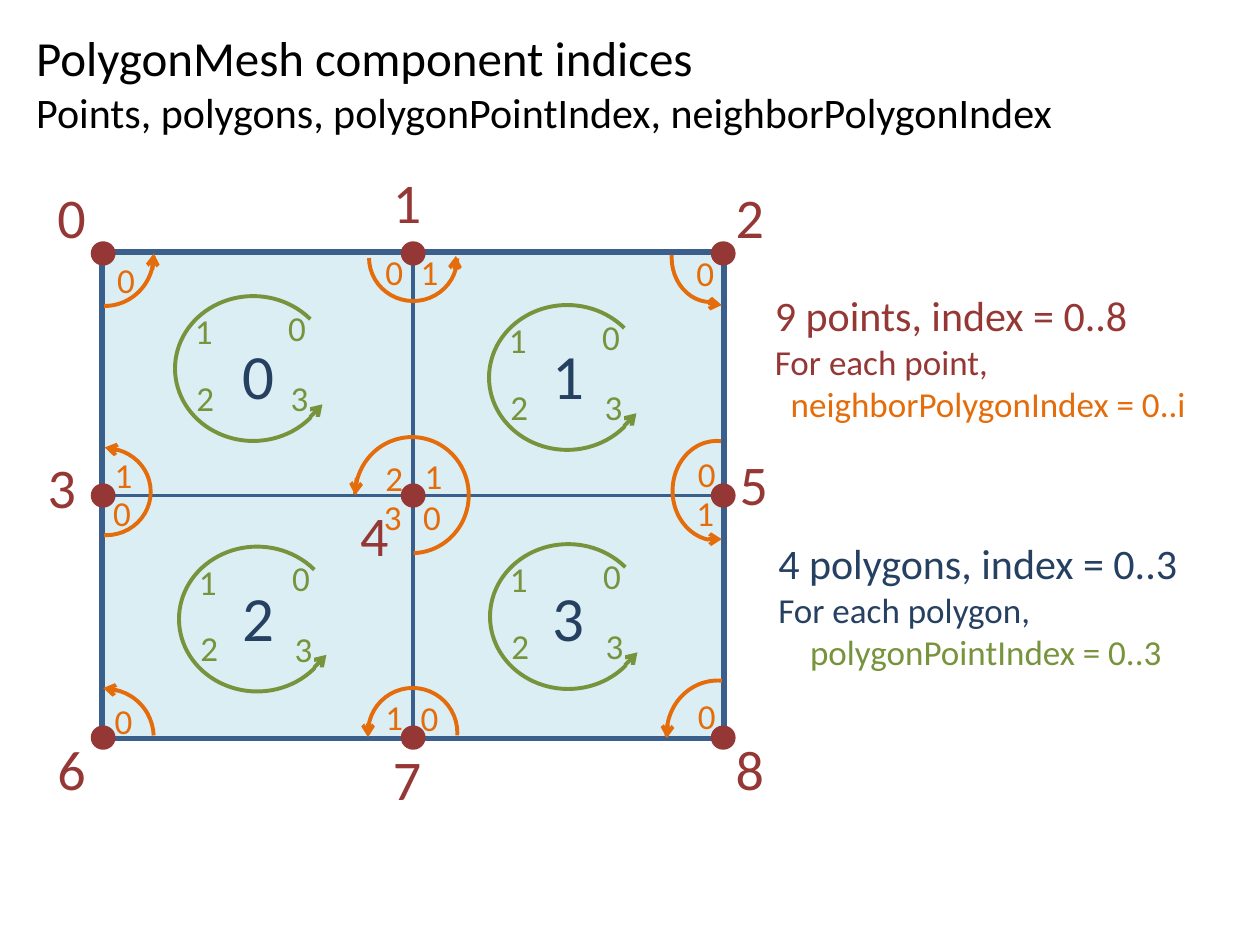
from dataclasses import dataclass
from typing import NamedTuple

from lxml import etree
from pptx import Presentation
from pptx.dml.color import RGBColor
from pptx.enum.shapes import MSO_CONNECTOR, MSO_SHAPE
from pptx.enum.text import MSO_ANCHOR, PP_ALIGN
from pptx.oxml.ns import qn
from pptx.util import Cm, Pt

RECTANGLE, OVAL, ARC = MSO_SHAPE.RECTANGLE, MSO_SHAPE.OVAL, MSO_SHAPE.ARC
STRAIGHT = MSO_CONNECTOR.STRAIGHT
MIDDLE, CENTER = MSO_ANCHOR.MIDDLE, PP_ALIGN.CENTER


@dataclass(frozen=True)
class Theme:
    font: str = "Calibri"
    black: str = "000000"
    point: str = "953735"
    polygon: str = "254061"
    corner: str = "77933C"
    neighbor: str = "E46C0A"
    cell_fill: str = "DBEEF4"
    edge: str = "3A5F8C"
    polygon_size: float = 36
    point_size: float = 32
    title_size: float = 28
    heading_size: float = 24
    small_size: float = 20
    border_width: float = 4.5
    cell_width: float = 2
    arc_width: float = 2.25


class Box(NamedTuple):
    left: float
    top: float
    width: float
    height: float


class Label(NamedTuple):
    text: str
    left: float
    top: float


class Line(NamedTuple):
    text: str
    size: float
    color: str
    indent: float = 0


class Turn(NamedTuple):
    box: Box
    start: float
    end: float
    tail: tuple[float, float]
    tip: tuple[float, float]
    rotation: float = 0


THEME = Theme()
MESH_LEFT, MESH_TOP, CELL_WIDTH, CELL_HEIGHT = 2.08, 5.11, 6.25, 4.88
DOT_WIDTH, DOT_HEIGHT = 0.5, 0.49

POINT_LABELS = [
    Label("0", 0.91, 3.56), Label("1", 7.67, 3.25), Label("2", 14.58, 3.56),
    Label("3", 0.71, 8.99), Label("4", 7.01, 9.96), Label("5", 14.66, 8.94),
    Label("6", 0.91, 14.68), Label("7", 7.67, 14.88), Label("8", 14.58, 14.68),
]
NEIGHBOR_LABELS = [
    Label("0", 2.11, 5.08),
    Label("0", 7.52, 4.93), Label("1", 8.23, 4.93),
    Label("0", 13.79, 4.95),
    Label("0", 2.03, 9.78), Label("1", 2.06, 9.02),
    Label("0", 8.28, 9.86), Label("1", 8.31, 9.04),
    Label("2", 7.52, 9.07), Label("3", 7.49, 9.86),
    Label("0", 13.82, 8.99), Label("1", 13.79, 9.78),
    Label("0", 2.06, 13.97),
    Label("0", 8.23, 13.92), Label("1", 7.52, 13.89),
    Label("0", 13.82, 13.87),
]
NEIGHBOR_TURNS = [
    Turn(Box(1.12, 4.14, 1.98, 2.03), 53.75, 107.44, (3.07, 5.44), (3.1, 5.11)),
    Turn(Box(7.44, 4.32, 1.78, 1.75), 0.29, 107.44, (9.17, 5.41), (9.19, 5.16)),
    Turn(Box(13.54, 4.29, 1.57, 1.8), 213.83, 54.26, (14.33, 6.12), (14.55, 6.15)),
    Turn(Box(1.24, 9.04, 1.8, 1.75), 52.53, 159.09, (2.36, 9.07), (2.11, 9.02)),
    Turn(Box(7.16, 8.81, 2.29, 2.34), 163.03, 107.44, (7.19, 9.63), (7.16, 9.98), 180),
    Turn(Box(13.56, 8.89, 1.78, 2.01), 158.99, 48.41, (14.3, 10.87), (14.55, 10.87)),
    Turn(Box(1.17, 13.89, 1.93, 1.96), 109.55, 159.09, (2.36, 13.92), (2.08, 13.87)),
    Turn(Box(7.42, 13.87, 1.8, 1.8), 105.87, 1.61, (7.42, 14.63), (7.42, 14.86)),
    Turn(Box(13.44, 13.72, 2.06, 2.16), 159.27, 1.61, (13.46, 14.61), (13.44, 14.88)),
]
RING_ORIGINS = [(3.53, 5.97), (9.86, 6.15), (3.61, 11.02), (9.88, 10.97)]
RING_LABELS = [
    Label("0", 2.03, 0.08), Label("1", 0.15, 0.15),
    Label("2", 0.18, 1.49), Label("3", 2.08, 1.5),
]


def rgb(color: str) -> RGBColor:
    return RGBColor.from_string(color)


def format_runs(paragraph, size: float, color: str) -> None:
    for run in paragraph.runs:
        run.font.name = THEME.font
        run.font.size = Pt(size)
        run.font.color.rgb = rgb(color)


def add_text(shapes, box: Box, lines: list[Line]) -> None:
    frame = shapes.add_textbox(*map(Cm, box)).text_frame
    frame.word_wrap = True
    frame.text = "\n".join(line.text for line in lines)
    for paragraph, line in zip(frame.paragraphs, lines):
        format_runs(paragraph, line.size, line.color)
        if line.indent:
            paragraph._p.get_or_add_pPr().set("marL", str(Cm(line.indent)))


def add_shape(shapes, kind, box: Box, fill: str = "", line: str = "", width: float = 0):
    shape = shapes.add_shape(kind, *map(Cm, box))
    shape.shadow.inherit = False
    if fill:
        shape.fill.solid()
        shape.fill.fore_color.rgb = rgb(fill)
    else:
        shape.fill.background()
    if line:
        shape.line.color.rgb = rgb(line)
        shape.line.width = Pt(width)
    else:
        shape.line.fill.background()
    return shape


def add_turn(shapes, turn: Turn, color: str) -> None:
    arc = add_shape(shapes, ARC, turn.box, line=color, width=THEME.arc_width)
    arc.adjustments[0], arc.adjustments[1] = turn.start, turn.end
    arc.rotation = turn.rotation
    arc._element.spPr.xfrm.set("flipH", "1")
    arrow = shapes.add_connector(STRAIGHT, *map(Cm, turn.tail + turn.tip))
    arrow.line.color.rgb = rgb(color)
    arrow.line.width = Pt(THEME.arc_width)
    etree.SubElement(arrow.line._get_or_add_ln(), qn("a:tailEnd"), type="arrow")
    etree.SubElement(arrow._element.spPr, qn("a:effectLst"))


def add_small_label(shapes, label: Label, color: str) -> None:
    box = Box(label.left, label.top, 0.99, 1.12)
    add_text(shapes, box, [Line(label.text, THEME.small_size, color)])


def add_ring(shapes, left: float, top: float) -> None:
    group = shapes.add_group_shape().shapes
    turn = Turn(Box(left, top, 3.15, 2.92), 132.48, 83.89,
                (left + 2.72, top + 2.44), (left + 2.97, top + 2.18))
    add_turn(group, turn, THEME.corner)
    for text, across, down in RING_LABELS:
        add_small_label(group, Label(text, left + across, top + down), THEME.corner)


def add_mesh(shapes) -> None:
    border = Box(MESH_LEFT, MESH_TOP, 2 * CELL_WIDTH, 2 * CELL_HEIGHT)
    add_shape(shapes, RECTANGLE, border, THEME.cell_fill, THEME.edge, THEME.border_width)
    for index in range(4):
        row, column = divmod(index, 2)
        box = Box(MESH_LEFT + column * CELL_WIDTH, MESH_TOP + row * CELL_HEIGHT,
                  CELL_WIDTH, CELL_HEIGHT)
        cell = add_shape(shapes, RECTANGLE, box, THEME.cell_fill, THEME.edge, THEME.cell_width)
        cell.text_frame.text = str(index)
        cell.text_frame.vertical_anchor = MIDDLE
        paragraph = cell.text_frame.paragraphs[0]
        paragraph.alignment = CENTER
        format_runs(paragraph, THEME.polygon_size, THEME.polygon)
    for index, label in enumerate(POINT_LABELS):
        row, column = divmod(index, 3)
        dot = Box(MESH_LEFT + column * CELL_WIDTH - DOT_WIDTH / 2,
                  MESH_TOP + row * CELL_HEIGHT - DOT_HEIGHT / 2, DOT_WIDTH, DOT_HEIGHT)
        add_shape(shapes, OVAL, dot, THEME.point)
        add_text(shapes, Box(label.left, label.top, 1.5, 1.62),
                 [Line(label.text, THEME.point_size, THEME.point)])


presentation = Presentation()
presentation.slide_width, presentation.slide_height = Cm(25.4), Cm(19.05)
slide = presentation.slides.add_slide(presentation.slide_layouts[6])

add_text(slide.shapes, Box(0.48, 0.43, 23.5, 2.49), [
    Line("PolygonMesh component indices", THEME.title_size, THEME.black),
    Line("Points, polygons, polygonPointIndex, neighborPolygonIndex",
         THEME.heading_size, THEME.black),
])
add_text(slide.shapes, Box(15.37, 5.72, 9.02, 3), [
    Line("9 points, index = 0..8", THEME.heading_size, THEME.point),
    Line("For each point,", THEME.small_size, THEME.point),
    Line("neighborPolygonIndex = 0..i", THEME.small_size, THEME.neighbor, 0.32),
])
add_text(slide.shapes, Box(15.44, 10.72, 8.76, 3), [
    Line("4 polygons, index = 0..3", THEME.heading_size, THEME.polygon),
    Line("For each polygon,", THEME.small_size, THEME.polygon),
    Line("polygonPointIndex = 0..3", THEME.small_size, THEME.corner, 0.64),
])
add_mesh(slide.shapes)
for turn in NEIGHBOR_TURNS:
    add_turn(slide.shapes.add_group_shape().shapes, turn, THEME.neighbor)
for label in NEIGHBOR_LABELS:
    add_small_label(slide.shapes, label, THEME.neighbor)
for origin in RING_ORIGINS:
    add_ring(slide.shapes, *origin)

presentation.save("out.pptx")
